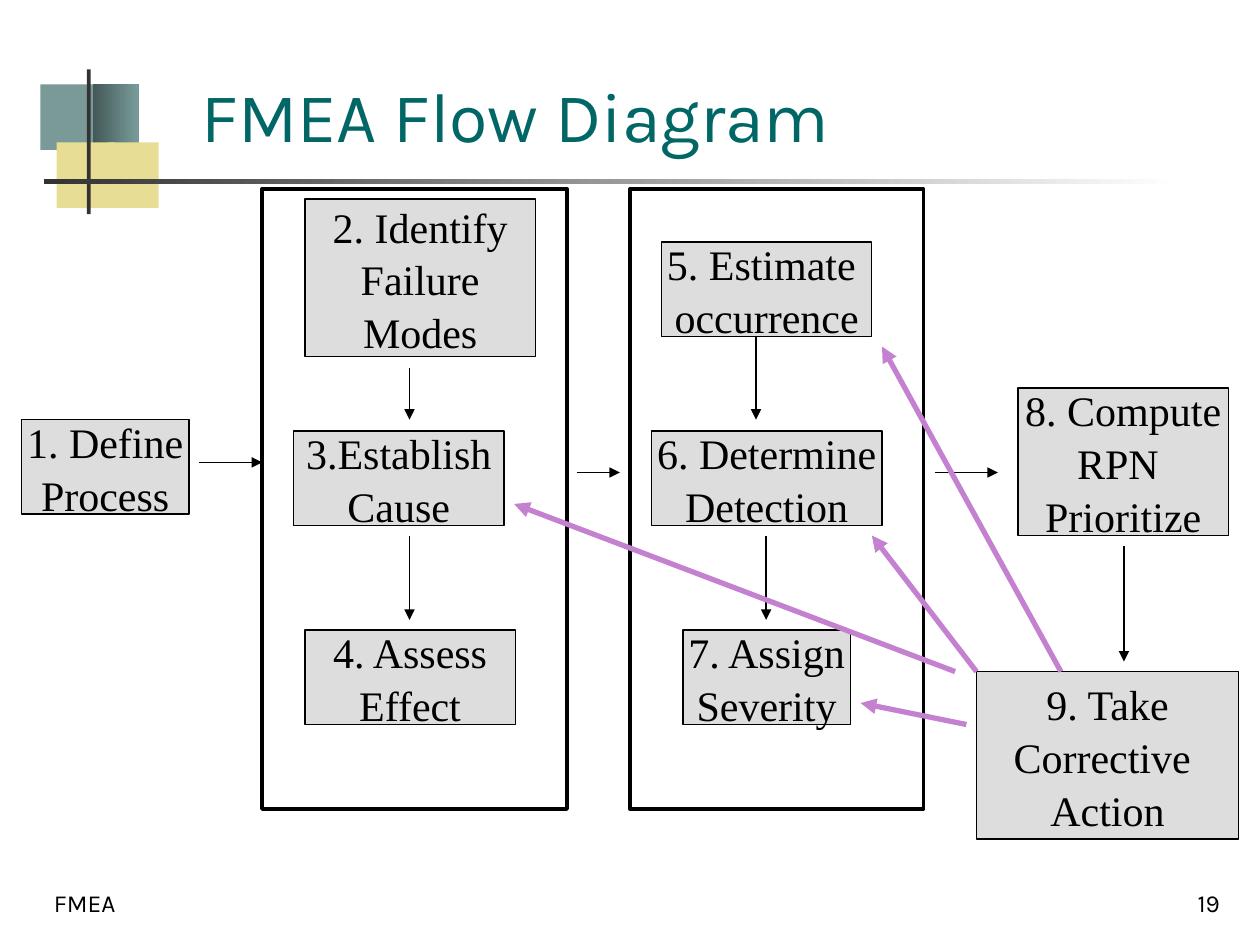
from dataclasses import dataclass

from lxml.etree import SubElement
from pptx import Presentation
from pptx.dml.color import RGBColor
from pptx.enum.shapes import MSO_CONNECTOR, MSO_SHAPE
from pptx.enum.text import MSO_ANCHOR, MSO_AUTO_SIZE, PP_ALIGN
from pptx.oxml.ns import qn
from pptx.util import Inches, Pt


@dataclass(frozen=True)
class Theme:
    heading_font: str = "Karla"
    step_font: str = "Times New Roman"
    title_size: int = 40
    step_size: int = 24
    footer_size: int = 14
    title: str = "006666"
    ink: str = "000000"
    step: str = "DDDDDD"
    feedback: str = "C481CF"
    teal: str = "7A9A98"
    teal_fade: tuple = ("435958", "789C9A")
    sand: str = "E7DD95"
    bar: str = "333333"
    rule_fade: tuple = ("333333", "FFFFFF")
    thin: float = 0.75
    frame: float = 2.25
    thick: float = 3


THEME = Theme()

# Left, top, width, height and fill of each part of the title ornament
ORNAMENT = [
    (0.32, 0.67, 0.48, 0.52, THEME.teal),
    (0.74, 0.67, 0.36, 0.52, THEME.teal_fade),
    (0.45, 1.13, 0.46, 0.52, THEME.sand),
    (0.86, 1.13, 0.4, 0.52, THEME.sand),
    (0.69, 0.55, 0.03, 1.15, THEME.bar),
    (0.35, 1.42, 9, 0.04, THEME.rule_fade),
]

# Left, top, width, height and lines of each step
STEPS = [
    (0.17, 3.33, 1.33, 0.75, ["1. Define", "Process"]),
    (2.42, 1.58, 1.83, 1.25, ["2. Identify", "Failure", "Modes"]),
    (2.33, 3.42, 1.67, 0.75, ["3.Establish", "Cause"]),
    (2.42, 5, 1.67, 0.75, ["4. Assess", "Effect"]),
    (5.25, 1.92, 1.67, 0.75, ["5. Estimate ", "occurrence"]),
    (5.17, 3.42, 1.83, 0.75, ["6. Determine", "Detection"]),
    (5.42, 5, 1.33, 0.75, ["7. Assign", "Severity"]),
    (8.08, 3.08, 1.67, 1.17, ["8. Compute", "RPN ", "Prioritize"]),
    (7.75, 5.33, 2.08, 1.33, ["9. Take", "Corrective ", "Action"]),
]

PHASES = [(2.08, 1.5, 2.42, 4.92), (5, 1.5, 2.33, 4.92)]

# Start x, start y, tip x, tip y
FLOW = [
    (1.58, 3.67, 2.08, 3.67),
    (4.58, 3.75, 4.92, 3.75),
    (7.42, 3.75, 7.92, 3.75),
    (3.25, 2.92, 3.25, 3.33),
    (3.25, 4.25, 3.25, 4.92),
    (6, 2.67, 6, 3.33),
    (6.08, 4.25, 6.08, 4.92),
    (8.92, 4.33, 8.92, 5.25),
]
FEEDBACK = [
    (7.58, 5.33, 4.08, 4),
    (7.75, 5.33, 6.92, 4.25),
    (8.42, 5.33, 7, 2.75),
    (7.67, 5.75, 6.83, 5.58),
]


def rgb(color):
    return RGBColor.from_string(color)


def write(frame, lines, font, size, color, align=PP_ALIGN.LEFT, spacing=None):
    for index, line in enumerate(lines):
        paragraph = frame.add_paragraph() if index else frame.paragraphs[0]
        paragraph.text = line
        paragraph.alignment = align
        paragraph.line_spacing = spacing
        paragraph.font.name = font
        paragraph.font.size = Pt(size)
        paragraph.font.color.rgb = rgb(color)


def add_box(slide, box, fill=None, outline=None):
    """Rectangle with a plain fill, a left-to-right fade, or no fill."""
    rect = slide.shapes.add_shape(MSO_SHAPE.RECTANGLE, *map(Inches, box))
    rect.shadow.inherit = False
    if fill is None:
        rect.fill.background()
    elif isinstance(fill, tuple):
        rect.fill.gradient()
        rect.fill.gradient_angle = 0
        for position, (stop, color) in enumerate(zip(rect.fill.gradient_stops, fill)):
            stop.position = position
            stop.color.rgb = rgb(color)
    else:
        rect.fill.solid()
        rect.fill.fore_color.rgb = rgb(fill)
    if outline:
        rect.line.color.rgb = rgb(THEME.ink)
        rect.line.width = Pt(outline)
    else:
        rect.line.fill.background()
    return rect


def add_step(slide, box, lines):
    frame = add_box(slide, box, THEME.step, THEME.thin).text_frame
    frame.word_wrap = False
    frame.vertical_anchor = MSO_ANCHOR.MIDDLE
    write(frame, lines, THEME.step_font, THEME.step_size, THEME.ink,
          PP_ALIGN.CENTER, 1.05)


def add_arrow(slide, ends, color, width):
    arrow = slide.shapes.add_connector(MSO_CONNECTOR.STRAIGHT, *map(Inches, ends))
    arrow.line.color.rgb = rgb(color)
    arrow.line.width = Pt(width)
    SubElement(arrow.line._get_or_add_ln(), qn("a:tailEnd"), type="triangle")
    SubElement(arrow._element.spPr, qn("a:effectLst"))


def add_title(slide, text):
    title = slide.shapes.title
    title.left, title.top, title.width, title.height = map(
        Inches, (1.5, 0.42, 7.75, 0.87))
    frame = title.text_frame
    frame.auto_size = MSO_AUTO_SIZE.NONE
    frame.vertical_anchor = MSO_ANCHOR.BOTTOM
    write(frame, [text], THEME.heading_font, THEME.title_size, THEME.title)


def add_footer(slide, left, text, align):
    footer = slide.shapes.add_textbox(*map(Inches, (left, 6.83, 2.08, 0.5)))
    frame = footer.text_frame
    frame.word_wrap = True
    frame.vertical_anchor = MSO_ANCHOR.BOTTOM
    write(frame, [text], THEME.heading_font, THEME.footer_size, THEME.ink, align)


def main():
    deck = Presentation()
    deck.slide_width, deck.slide_height = Inches(10), Inches(7.5)
    slide = deck.slides.add_slide(deck.slide_layouts[5])

    # Ornament, title and footer
    for *box, fill in ORNAMENT:
        add_box(slide, box, fill)
    add_title(slide, "FMEA Flow Diagram")
    add_footer(slide, 0.33, "FMEA", PP_ALIGN.LEFT)
    add_footer(slide, 7.7, "19", PP_ALIGN.RIGHT)

    # Steps and the frames around the two phases
    for *box, lines in STEPS:
        add_step(slide, box, lines)
    for box in PHASES:
        add_box(slide, box, outline=THEME.frame)

    # Forward flow, then feedback from corrective action
    for ends in FLOW:
        add_arrow(slide, ends, THEME.ink, THEME.thin)
    for ends in FEEDBACK:
        add_arrow(slide, ends, THEME.feedback, THEME.thick)

    deck.save("out.pptx")


if __name__ == "__main__":
    main()
